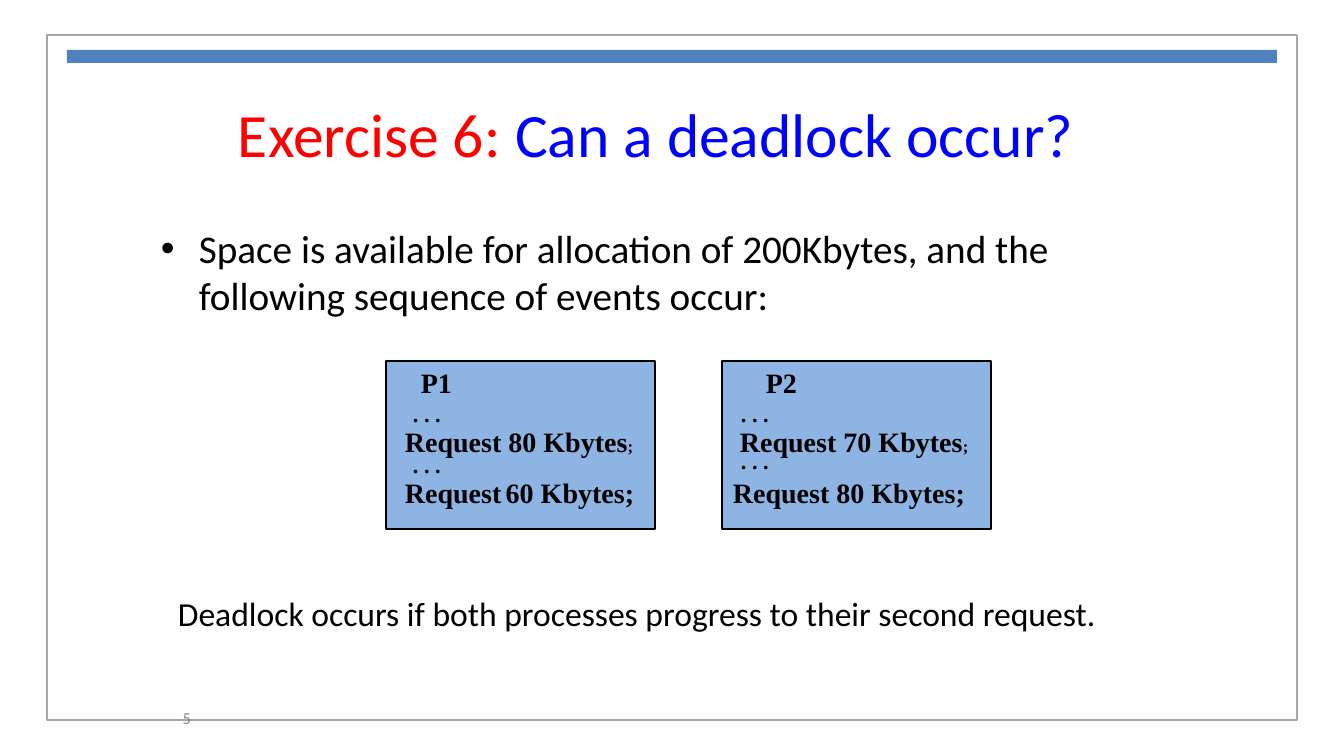
"""Build the slide on whether two processes can reach a deadlock."""
from lxml.etree import SubElement
from pptx import Presentation
from pptx.dml.color import RGBColor
from pptx.enum.shapes import MSO_SHAPE
from pptx.enum.text import MSO_ANCHOR, PP_ALIGN
from pptx.oxml.ns import qn
from pptx.util import Emu, Pt

TITLE = [("Exercise 6: ", "red"), ("Can a deadlock occur?", "blue")]
BODY = "Space is available for allocation of 200Kbytes, and the following sequence of events occur:"
CONCLUSION = "Deadlock occurs if both processes progress to their second request."
PAGE_NUMBER = "5"
DOTS = ". . ."

PROCESSES = [
    (386, [
        (411, 361, [("P1", "code")]),
        (403, 395, [(DOTS, "dots")]),
        (395, 420, [("Request 80 Kbytes", "code"), (";", "small")]),
        (403, 446, [(DOTS, "dots")]),
        (395, 471, [("Request", "code"), (" ", "small"), ("60 Kbytes;", "code")]),
    ]),
    (722, [
        (756, 361, [("P2", "code")]),
        (731, 395, [(DOTS, "dots")]),
        (730, 420, [("Request 70 Kbytes", "code"), (";", "small")]),
        (731, 442, [(DOTS, "dots")]),
        (723, 471, [("Request 80 Kbytes;", "code")]),
    ]),
]


class Theme:
    """Hold the fonts, colours and type sizes."""
    sans, serif = "Calibri", "Times New Roman"
    colors = {"black": "000000", "red": "FF0000", "blue": "0000FF", "gray": "898989",
              "frame": "A6A6A6", "bar": "4F81BD", "process": "8EB4E3"}
    sizes = {"title": 44, "body": 28, "conclusion": 24, "code": 20, "dots": 16, "small": 12}


def px(length):
    """Turn px into EMU."""
    return Emu(round(length * 914400 / 100.8))


def color(name):
    """Return a theme colour."""
    return RGBColor.from_string(Theme.colors[name])


def add_box(slide, bounds, fill=None, line=None):
    """Add a flat rectangle."""
    shape = slide.shapes.add_shape(MSO_SHAPE.RECTANGLE, *map(px, bounds))
    shape.shadow.inherit = False
    if fill:
        shape.fill.solid()
        shape.fill.fore_color.rgb = color(fill)
    else:
        shape.fill.background()
    if line:
        shape.line.color.rgb = color(line)
        shape.line.width = Pt(1)
    else:
        shape.line.fill.background()


def add_text(slide, bounds, runs, font=Theme.sans, bold=False, wrap=True,
             align=PP_ALIGN.LEFT, anchor=MSO_ANCHOR.TOP, spacing=None, bullet_indent=None):
    """Add a text box whose runs are (text, size name, colour name)."""
    frame = slide.shapes.add_textbox(*map(px, bounds)).text_frame
    frame.word_wrap = wrap
    frame.vertical_anchor = anchor
    paragraph = frame.paragraphs[0]
    paragraph.alignment = align
    if spacing:
        paragraph.line_spacing = Pt(spacing)
    if bullet_indent:
        properties = paragraph._p.get_or_add_pPr()
        properties.set("marL", str(px(bullet_indent)))
        properties.set("indent", str(-px(bullet_indent)))
        SubElement(properties, qn("a:buFont"), typeface="Arial")
        SubElement(properties, qn("a:buChar"), char="•")
    for text, size, color_name in runs:
        run = paragraph.add_run()
        run.text = text
        run.font.name = font
        run.font.bold = bold
        run.font.size = Pt(Theme.sizes[size])
        run.font.color.rgb = color(color_name)


def main():
    """Compose and save the slide."""
    presentation = Presentation()
    presentation.slide_width, presentation.slide_height = px(1344), px(756)
    slide = presentation.slides.add_slide(presentation.slide_layouts[6])

    add_box(slide, (47, 35, 1250, 685), line="frame")
    add_box(slide, (67, 50, 1210, 13), fill="bar")
    add_text(slide, (190, 86, 932, 92), [(text, "title", name) for text, name in TITLE],
             align=PP_ALIGN.CENTER, anchor=MSO_ANCHOR.MIDDLE, spacing=54)
    add_text(slide, (151, 219, 991, 353), [(BODY, "body", "black")], bullet_indent=38)

    for left, lines in PROCESSES:
        add_box(slide, (left, 361, 269, 168), fill="process", line="black")
        for text_left, top, runs in lines:
            add_text(slide, (text_left, top, left + 269 - text_left, 44),
                     [(text, size, "black") for text, size in runs],
                     font=Theme.serif, bold=True, wrap=False)

    add_text(slide, (168, 588, 1016, 50), [(CONCLUSION, "conclusion", "black")])
    add_text(slide, (56, 698, 145, 40), [(PAGE_NUMBER, "small", "gray")],
             align=PP_ALIGN.RIGHT, anchor=MSO_ANCHOR.MIDDLE)
    presentation.save("out.pptx")


if __name__ == "__main__":
    main()
